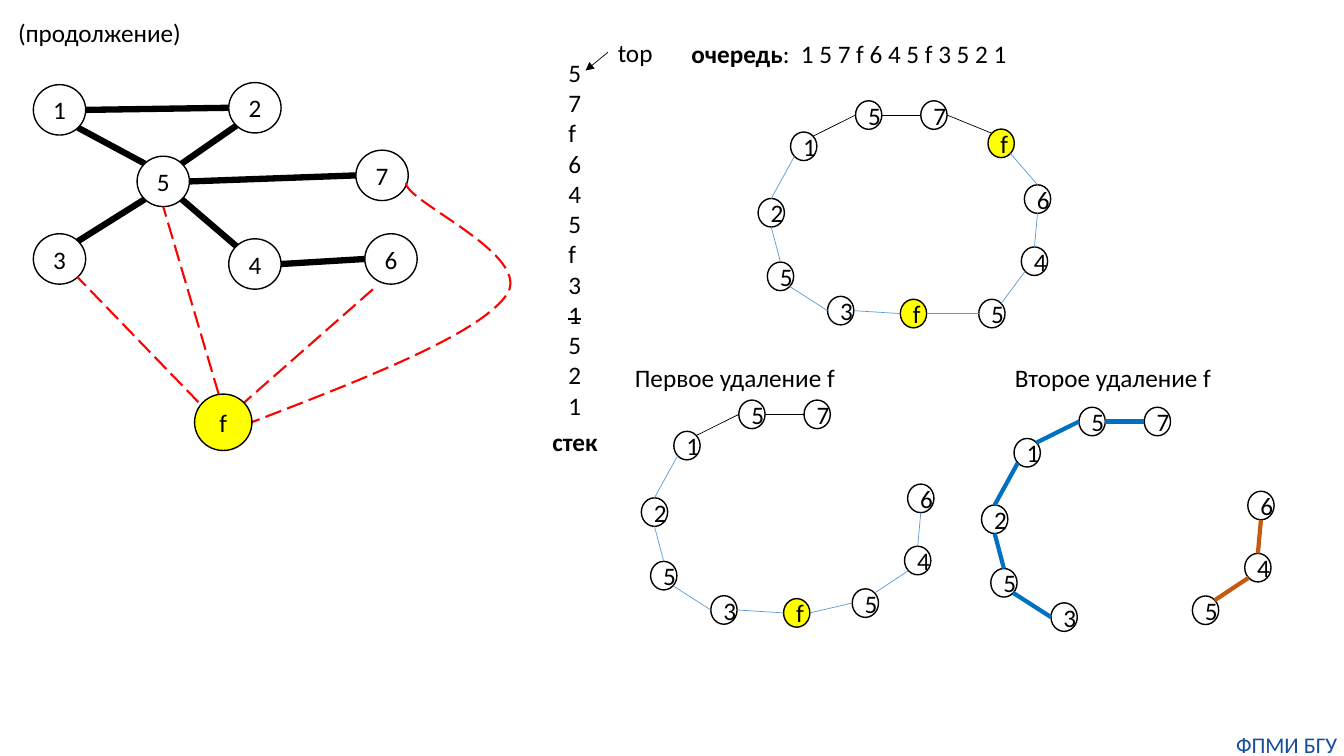
"""Build the slide on finding a cycle with a stack and a queue."""
import math
import pptx
import pptx.dml.color
import pptx.enum.dml
import pptx.enum.shapes
import pptx.enum.text
import pptx.oxml
import pptx.oxml.ns
import pptx.util
from dataclasses import dataclass


@dataclass(frozen=True)
class Theme:
    font: str = "Calibri"
    body: int = 18
    footer: int = 16
    ink: str = "000000"
    highlight: str = "FFFF00"
    removed: str = "FF0000"
    ring: str = "5B9BD5"
    first_part: str = "0070C0"
    second_part: str = "C55A11"
    footer_ink: str = "144E9D"


THEME = Theme()
SLIDE = (960, 540)

GRAPH_NODE = (37.4, 36)
GRAPH_NODES = {"1": (23.8, 60.5), "5": (97.9, 111.6), "3": (23.8, 167), "4": (163.4, 170.6),
               "2": (163.4, 59), "6": (260.6, 167), "7": (254.2, 107.3)}
GRAPH_EDGES = [("1", "SE", "5", "NW"), ("2", "SW", "5", "NE"), ("1", "E", "2", "W"),
               ("5", "SW", "3", "NE"), ("5", "SE", "4", "NW"), ("4", "E", "6", "W"),
               ("5", "E", "7", "W")]
GRAPH_EXTRA = (139, 281.5, 41, 40.3)
DASHED = [((141.8, 287.3), (55.4, 198)), ((156.2, 281.5), (116.6, 147.6)),
          ((170.6, 290.9), (266.4, 206.6))]
CURVE = [[(174.2, 303.8), (258.5, 271.4), (342.7, 239), (362.2, 210.2)],
         [(362.2, 210.2), (381.6, 180.7), (279.4, 139.7), (290.9, 128.9)]]
CURVE_STEPS = 24

RING_NODE = (18.8, 20.4)
RING_NODES = {"1": (23.2, 22.3), "5 top": (69.6, 0), "7": (116.2, 0), "f right": (164.2, 20.2),
              "6": (190.2, 60), "4": (188, 104.4), "5 right": (157.6, 141.8),
              "f bottom": (101.6, 141.8), "3": (49.6, 139.7), "5 left": (6.6, 115.2),
              "2": (0, 69.8)}
RING_EDGES = [("1", "NE", "5 top", "W"), ("5 top", "E", "7", "W"), ("7", "E", "f right", "NW"),
              ("f right", "SE", "6", "N"), ("6", "S", "4", "N"), ("4", "SW", "5 right", "NE"),
              ("5 right", "W", "f bottom", "E"), ("f bottom", "W", "3", "E"),
              ("3", "W", "5 left", "SE"), ("5 left", "N", "2", "S"), ("2", "N", "1", "SW")]
OPENING = ("1", "5 top", "7")
TAIL = ("6", "4", "5 right")
RINGS = [{"origin": (541.5, 72), "gone": (), "shift": 0, "split": False},
         {"origin": (458.1, 285.8), "gone": ("f right",), "shift": -7, "split": False},
         {"origin": (701.1, 290.9), "gone": ("f right", "f bottom"), "shift": -7, "split": True}]

STACK = [[(mark, "")] for mark in "57f645f3"] + [[("1", "strike")]] + [[(mark, "")] for mark in "521"]
LABELS = [((387.4, 301, 46.8, 28.8), False, [[("стек", "bold")]]),
          ((398.9, 37.4, 23.8, 269.3), False, STACK),
          ((434.2, 23, 39.6, 28.8), False, [[("top", "")]]),
          ((486.7, 23.8, 243.4, 28.8), False,
           [[("очередь", "bold"), (":  1 5 7 f 6 4 5 f 3 5 2 1", "")]]),
          ((5.8, 8.6, 132.5, 28.8), False, [[("(продолжение)", "")]]),
          ((446.4, 255.6, 174.2, 28.8), True, [[("Первое удаление f", "")]]),
          ((717.8, 255.6, 193, 28.8), True, [[("Второе удаление f", "")]])]
FOOTER = ((878.4, 522, 81.4, 19.4), "ФПМИ БГУ")
TOP_ARROW = ((434.2, 37.4), (418.3, 50.4))

SITES = {name: math.radians(45 * step)
         for step, name in enumerate(("E", "SE", "S", "SW", "W", "NW", "N", "NE"))}


def points(values):
    return [pptx.util.Pt(value) for value in values]


def rgb(code):
    return pptx.dml.color.RGBColor.from_string(code)


def style_line(line, color, width, dashed=False):
    line.color.rgb = rgb(color)
    line.width = pptx.util.Pt(width)
    if dashed:
        line.dash_style = pptx.enum.dml.MSO_LINE.LONG_DASH


def style_para(para, size=THEME.body, color=THEME.ink):
    para.font.name = THEME.font
    para.font.size = pptx.util.Pt(size)
    para.font.color.rgb = rgb(color)


def add_node(shapes, frame, label):
    node = shapes.add_shape(pptx.enum.shapes.MSO_SHAPE.OVAL, *points(frame))
    node.shadow.inherit = False
    if label == "f":
        node.fill.solid()
        node.fill.fore_color.rgb = rgb(THEME.highlight)
    else:
        node.fill.background()
    style_line(node.line, THEME.ink, 1)
    node.text_frame.vertical_anchor = pptx.enum.text.MSO_ANCHOR.MIDDLE
    para = node.text_frame.paragraphs[0]
    para.text = label
    para.alignment = pptx.enum.text.PP_ALIGN.CENTER
    style_para(para)


def add_line(shapes, start, end, color, width, dashed=False):
    line = shapes.add_connector(pptx.enum.shapes.MSO_CONNECTOR.STRAIGHT, *points(start + end))
    style_line(line.line, color, width, dashed)
    pptx.oxml.ns.qn("a:effectLst")
    line._element.spPr.append(pptx.oxml.parse_xml(
        '<a:effectLst xmlns:a="http://schemas.openxmlformats.org/drawingml/2006/main"/>'))
    return line


def site(place, size, name):
    angle = SITES[name]
    return (place[0] + size[0] / 2 * (1 + math.cos(angle)),
            place[1] + size[1] / 2 * (1 + math.sin(angle)))


def add_graph(shapes):
    for label, place in GRAPH_NODES.items():
        add_node(shapes, place + GRAPH_NODE, label)
    for start, leave, end, enter in GRAPH_EDGES:
        add_line(shapes, site(GRAPH_NODES[start], GRAPH_NODE, leave),
                 site(GRAPH_NODES[end], GRAPH_NODE, enter), THEME.ink, 4.5)
    for start, end in DASHED:
        add_line(shapes, start, end, THEME.removed, 1.5, True)
    track = [CURVE[0][0]]
    for a, b, c, d in CURVE:
        for step in range(1, CURVE_STEPS + 1):
            t = step / CURVE_STEPS
            u = 1 - t
            track.append(tuple(u**3 * a[i] + 3 * u * u * t * b[i] + 3 * u * t * t * c[i] + t**3 * d[i]
                               for i in (0, 1)))
    builder = shapes.build_freeform(*points(track[0]))
    builder.add_line_segments([points(spot) for spot in track[1:]], close=False)
    curve = builder.convert_to_shape()
    curve.shadow.inherit = False
    curve.fill.background()
    style_line(curve.line, THEME.removed, 1.5, True)
    add_node(shapes, GRAPH_EXTRA, "f")


def add_ring(shapes, ring):
    left, top = ring["origin"]
    places = {}
    for name, (x, y) in RING_NODES.items():
        if name not in ring["gone"]:
            shift = ring["shift"] if name == "5 right" else 0
            places[name] = (left + x + shift, top + y + shift)
            add_node(shapes, places[name] + RING_NODE, name[0])
    for start, leave, end, enter in RING_EDGES:
        if start in places and end in places:
            if ring["split"]:
                color, width = THEME.second_part if start in TAIL else THEME.first_part, 3
            else:
                color, width = THEME.ink if start in OPENING else THEME.ring, 0.5
            add_line(shapes, site(places[start], RING_NODE, leave),
                     site(places[end], RING_NODE, enter), color, width)


def add_label(shapes, frame, wrap, lines):
    box = shapes.add_textbox(*points(frame))
    box.text_frame.word_wrap = wrap
    box.text_frame.auto_size = pptx.enum.text.MSO_AUTO_SIZE.SHAPE_TO_FIT_TEXT
    for index, line in enumerate(lines):
        para = box.text_frame.add_paragraph() if index else box.text_frame.paragraphs[0]
        style_para(para)
        for text, style in line:
            span = para.add_run()
            span.text = text
            if style == "bold":
                span.font.bold = True
            elif style == "strike":
                span._r.get_or_add_rPr().set("strike", "sngStrike")
    return box


def main():
    deck = pptx.Presentation()
    deck.slide_width, deck.slide_height = points(SLIDE)
    page = deck.slides.add_slide(deck.slide_layouts[6])
    add_graph(page.shapes)
    for label in LABELS:
        add_label(page.shapes, *label)
    arrow = add_line(page.shapes, *TOP_ARROW, THEME.ink, 0.5)
    arrow.line._get_or_add_ln().append(pptx.oxml.parse_xml(
        '<a:tailEnd xmlns:a="http://schemas.openxmlformats.org/drawingml/2006/main" type="triangle"/>'))
    for ring in RINGS:
        add_ring(page.shapes.add_group_shape().shapes, ring)
    frame, text = FOOTER
    footer = add_label(page.shapes, frame, True, [[(text, "")]]).text_frame
    footer.margin_left = footer.margin_right = footer.margin_top = footer.margin_bottom = 0
    footer.paragraphs[0].alignment = pptx.enum.text.PP_ALIGN.CENTER
    style_para(footer.paragraphs[0], THEME.footer, THEME.footer_ink)
    deck.save("out.pptx")


if __name__ == "__main__":
    main()
